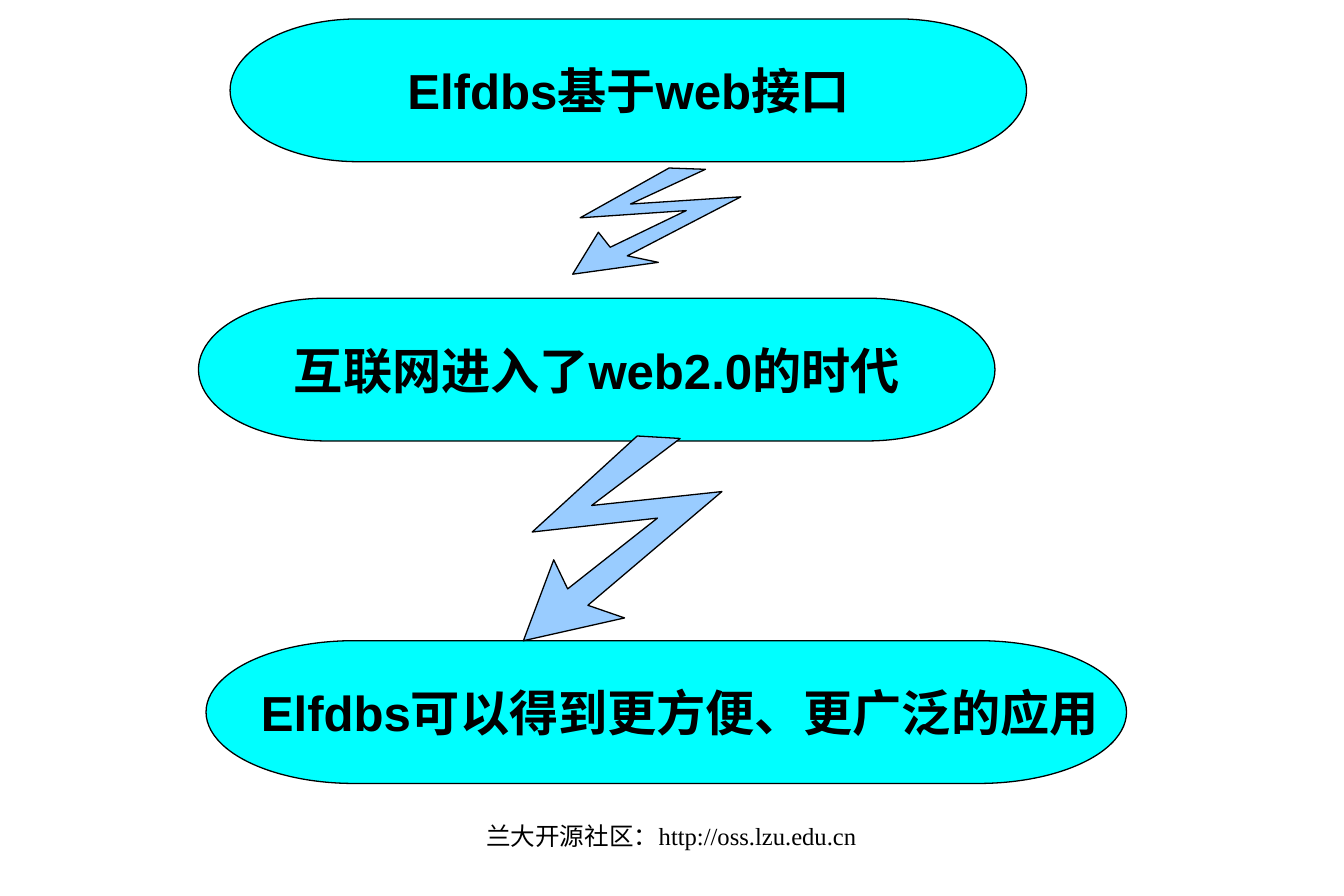
from typing import NamedTuple

from pptx import Presentation
from pptx.dml.color import RGBColor
from pptx.enum.shapes import MSO_SHAPE
from pptx.enum.text import MSO_ANCHOR, PP_ALIGN
from pptx.util import Pt

PX = 9144  # EMU in one px, 100 px to the inch

# Lightning arrow on a grid of 157 by 162, tip at bottom left
BOLT_GRID = (157, 162)
BOLT_OUTLINE = [
    (157, 44), (54, 55), (124, 2), (90, 0), (7, 76), (106, 65),
    (35, 121), (24, 98), (0, 162), (80, 144), (51, 134),
]


class Stage(NamedTuple):
    text: str
    left: int
    top: int
    width: int = 630
    height: int = 113
    inset_left: int = 10


class Bolt(NamedTuple):
    left: int
    top: int
    width: int
    height: int


STAGES = [
    Stage("Elfdbs基于web接口", 182, 15),
    Stage("互联网进入了web2.0的时代", 157, 236),
    Stage("Elfdbs可以得到更方便、更广泛的应用", 163, 507, width=728, inset_left=31),
]
BOLTS = [Bolt(453, 133, 133, 84), Bolt(414, 345, 157, 162)]


def color(hex_code: str) -> RGBColor:
    return RGBColor.from_string(hex_code)


def paint(shape, fill: str) -> None:
    shape.shadow.inherit = False
    shape.fill.solid()
    shape.fill.fore_color.rgb = color(fill)
    shape.line.color.rgb = color("000000")
    shape.line.width = Pt(0.75)


def write(shape, text: str, *, size: int, font: str, bold: bool = False,
          wrap: bool = False, anchor=MSO_ANCHOR.MIDDLE,
          insets=(10, 5, 10, 5), spacing: float = 1.0) -> None:
    frame = shape.text_frame
    frame.word_wrap = wrap
    frame.vertical_anchor = anchor
    (frame.margin_left, frame.margin_top,
     frame.margin_right, frame.margin_bottom) = (inset * PX for inset in insets)
    paragraph = frame.paragraphs[0]
    paragraph.alignment = PP_ALIGN.CENTER
    paragraph.line_spacing = spacing
    run = paragraph.add_run()
    run.text = text
    run.font.size = Pt(size)
    run.font.name = font
    run.font.bold = bold
    run.font.color.rgb = color("000000")


def draw_stage(slide, stage: Stage) -> None:
    box = (stage.left, stage.top, stage.width, stage.height)
    pill = slide.shapes.add_shape(MSO_SHAPE.FLOWCHART_TERMINATOR, *(v * PX for v in box))
    paint(pill, "00FFFF")
    write(pill, stage.text, size=28, font="Arial", bold=True,
          insets=(stage.inset_left, 5, 10, 5))


def draw_bolt(slide, bolt: Bolt) -> None:
    scale = (bolt.width * PX / BOLT_GRID[0], bolt.height * PX / BOLT_GRID[1])
    builder = slide.shapes.build_freeform(*BOLT_OUTLINE[0], scale=scale)
    builder.add_line_segments(BOLT_OUTLINE[1:], close=True)
    paint(builder.convert_to_shape(bolt.left * PX, bolt.top * PX), "99CCFF")


def main() -> None:
    deck = Presentation()
    deck.slide_width, deck.slide_height = 1063 * PX, 709 * PX
    slide = deck.slides.add_slide(deck.slide_layouts[6])

    # Stages, then the bolts that lead from one to the next
    for stage in STAGES:
        draw_stage(slide, stage)
    for bolt in BOLTS:
        draw_bolt(slide, bolt)

    # Footer
    community = slide.shapes.add_textbox(364 * PX, 646 * PX, 334 * PX, 46 * PX)
    write(community, "兰大开源社区：http://oss.lzu.edu.cn", size=14,
          font="Times New Roman", wrap=True, anchor=MSO_ANCHOR.TOP,
          insets=(0, 0, 0, 0), spacing=1.16)

    deck.save("out.pptx")


if __name__ == "__main__":
    main()
